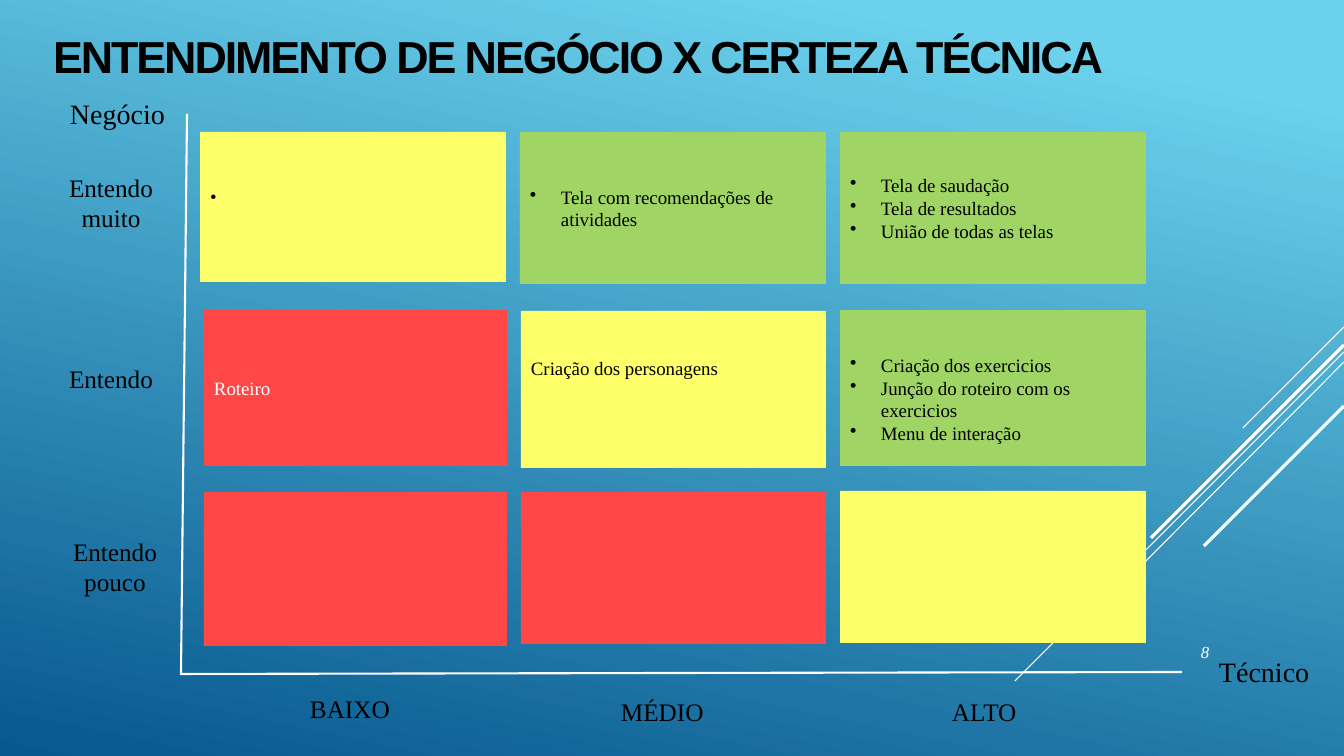
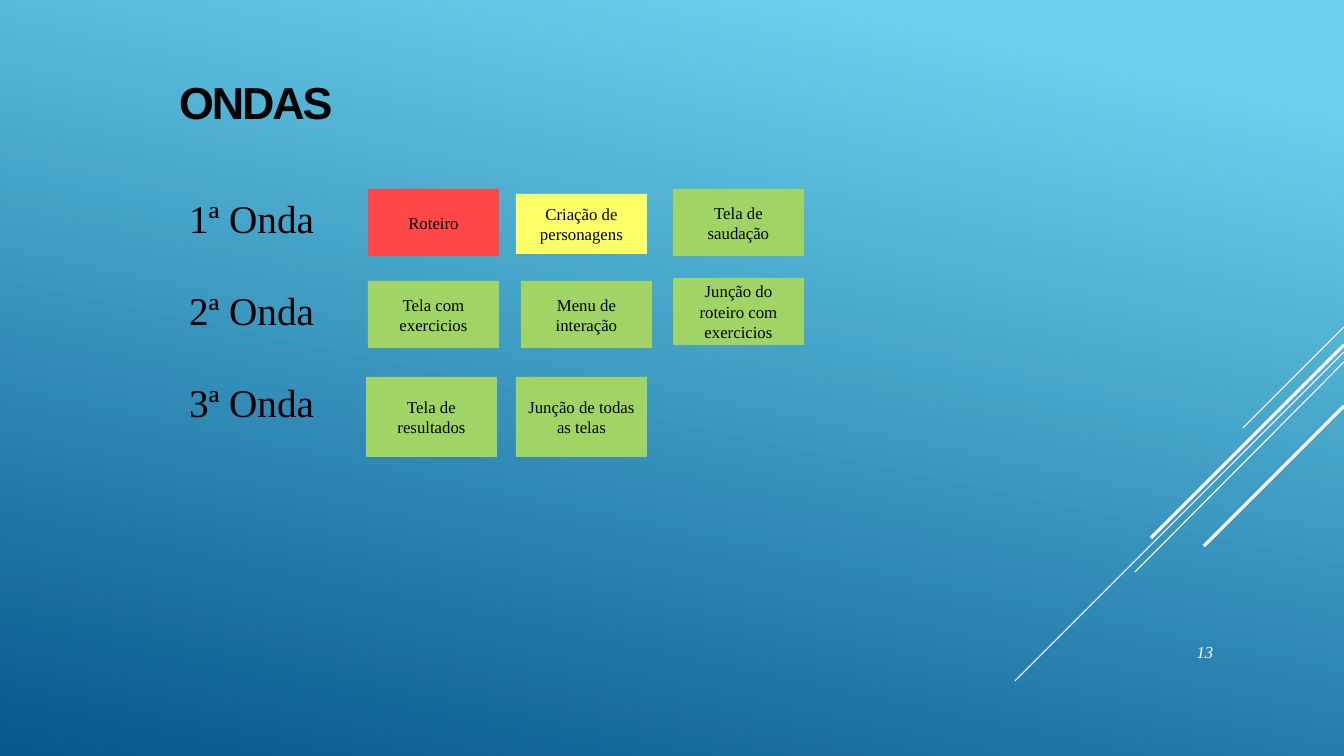
from dataclasses import dataclass
from typing import Any

import lxml.etree
import pptx
import pptx.dml.color
import pptx.enum.shapes
import pptx.enum.text
import pptx.oxml.ns
import pptx.util

RGBColor = pptx.dml.color.RGBColor
ALIGN = pptx.enum.text.PP_ALIGN
ANCHOR = pptx.enum.text.MSO_ANCHOR

# Shared colours, fonts and scale
BLACK = RGBColor(0x00, 0x00, 0x00)
WHITE = RGBColor(0xFF, 0xFF, 0xFF)
YELLOW = RGBColor(0xFF, 0xFF, 0x69)
RED = RGBColor(0xFF, 0x47, 0x47)
GREEN = RGBColor(0xA0, 0xD5, 0x65)
SKY = RGBColor(0x6B, 0xD1, 0xEC)
DEEP_BLUE = RGBColor(0x06, 0x58, 0x8E)
SERIF = "Times New Roman"
SANS = "Arial"
PIXELS_PER_INCH = 100.8
BULLET_INDENT = 31
LINE_HEIGHT = 22  # one line of cell text


def px(pixels: float) -> int:
    return pptx.util.Inches(pixels / PIXELS_PER_INCH)


@dataclass(frozen=True)
class Box:
    left: int
    top: int
    width: int
    height: int

    def emu(self) -> tuple[int, ...]:
        return tuple(px(side) for side in (self.left, self.top, self.width, self.height))


@dataclass(frozen=True)
class Line:
    start: tuple[int, int]
    end: tuple[int, int]
    weight: float


@dataclass(frozen=True)
class Look:
    size: float
    font: str = SERIF
    color: RGBColor = BLACK
    bold: bool = False
    italic: bool = False
    tracking: int = 0
    align: Any = ALIGN.LEFT
    spacing: float = 1.0
    gap: float = 0
    bullet: str = ""


@dataclass(frozen=True)
class Padding:
    side: int = 10
    top: int = 5
    bottom: int = 5
    anchor: Any = ANCHOR.TOP


@dataclass(frozen=True)
class Label:
    box: Box
    text: str
    look: Look


@dataclass(frozen=True)
class Card:
    box: Box
    fill: RGBColor
    lines: tuple[str, ...] = ()
    look: Look = Look(13.5)
    padding: Padding = Padding(anchor=ANCHOR.MIDDLE)


TITLE = Look(32, SANS, bold=True, tracking=-150, spacing=0.9)
PAGE_NUMBER = Look(12, color=WHITE, italic=True, align=ALIGN.CENTER)
AXIS_NAME = Look(20)
LEVEL = Look(18)
CENTERED_LEVEL = Look(18, align=ALIGN.CENTER)
BULLETED = Look(13.5, bullet="•")
CHIP = Look(12, align=ALIGN.CENTER)
WAVE = Look(28, gap=32.2)
FLUSH = Padding(0, 0, 0, ANCHOR.MIDDLE)

DIAGONALS = [
    Line((1344, 327), (1243, 428), 0.75),
    Line((1344, 352), (1015, 681), 0.75),
    Line((1344, 362), (1135, 572), 0.75),
    Line((1344, 345), (1151, 538), 2.25),
    Line((1344, 406), (1204, 546), 2.25),
]
AXES = [
    Line((1182, 672), (181, 674), 1.5),
    Line((187, 114), (181, 675), 1.5),
]
MATRIX_LABELS = [
    Label(Box(49, 92, 137, 43), "Negócio", Look(20, align=ALIGN.CENTER)),
    Label(Box(1209, 650, 134, 43), "Técnico", AXIS_NAME),
    Label(Box(58, 167, 106, 71), "Entendo muito", CENTERED_LEVEL),
    Label(Box(59, 358, 118, 40), "Entendo", LEVEL),
    Label(Box(62, 531, 106, 71), "Entendo pouco", CENTERED_LEVEL),
    Label(Box(300, 688, 110, 40), "BAIXO", LEVEL),
    Label(Box(611, 691, 122, 40), "MÉDIO", LEVEL),
    Label(Box(942, 691, 101, 40), "ALTO", LEVEL),
]
MATRIX_CELLS = [
    Card(Box(200, 132, 306, 150), YELLOW, ("•",),
         padding=Padding(bottom=5 + LINE_HEIGHT, anchor=ANCHOR.MIDDLE)),
    Card(Box(520, 132, 306, 152), GREEN,
         ("Tela com recomendações de atividades",), BULLETED),
    Card(Box(840, 132, 306, 152), GREEN,
         ("Tela de saudação", "Tela de resultados", "União de todas as telas"), BULLETED),
    Card(Box(204, 310, 303, 156), RED, ("Roteiro",), Look(13.5, color=WHITE)),
    Card(Box(521, 311, 305, 157), YELLOW, ("Criação dos personagens",),
         padding=Padding(bottom=5 + 2 * LINE_HEIGHT, anchor=ANCHOR.MIDDLE)),
    Card(Box(840, 310, 306, 156), GREEN,
         ("Criação dos exercicios", "Junção do roteiro com os exercicios",
          "Menu de interação"), BULLETED,
         Padding(top=5 + LINE_HEIGHT, anchor=ANCHOR.MIDDLE)),
    Card(Box(204, 492, 303, 154), RED),
    Card(Box(521, 492, 305, 152), RED),
    Card(Box(840, 491, 306, 152), YELLOW),
]
WAVE_NAMES = ("1ª Onda", "2ª Onda", "3ª Onda")
CHIP_WIDTH = 131
WAVE_CHIPS = [
    Card(Box(left, top, CHIP_WIDTH, height), fill, (text,), CHIP)
    for left, top, height, fill, text in [
        (368, 189, 67, RED, "Roteiro"),
        (516, 194, 60, YELLOW, "Criação de personagens"),
        (673, 189, 67, GREEN, "Tela de saudação"),
        (368, 281, 67, GREEN, "Tela com exercicios"),
        (521, 281, 67, GREEN, "Menu de interação"),
        (673, 278, 67, GREEN, "Junção do roteiro com exercicios"),
        (366, 377, 80, GREEN, "Tela de resultados"),
        (516, 377, 80, GREEN, "Junção de todas as telas"),
    ]
]


def apply_format(target: Any, values: dict[str, Any]) -> None:
    for name, value in values.items():
        setattr(target, name, value)


def set_bullet(para: Any, bullet: str) -> None:
    properties = para._p.get_or_add_pPr()
    indent = px(BULLET_INDENT) if bullet else 0
    properties.set("marL", str(indent))
    properties.set("indent", str(-indent))
    tag = "a:buChar" if bullet else "a:buNone"
    mark = lxml.etree.SubElement(properties, pptx.oxml.ns.qn(tag))
    if bullet:
        mark.set("char", bullet)


def write_text(shape: Any, lines: tuple[str, ...], look: Look, padding: Padding) -> None:
    frame = shape.text_frame
    apply_format(frame, {
        "word_wrap": True, "auto_size": pptx.enum.text.MSO_AUTO_SIZE.NONE,
        "vertical_anchor": padding.anchor,
        "margin_left": px(padding.side), "margin_right": px(padding.side),
        "margin_top": px(padding.top), "margin_bottom": px(padding.bottom),
    })
    for index, line in enumerate(lines):
        para = frame.add_paragraph() if index else frame.paragraphs[0]
        apply_format(para, {
            "alignment": look.align, "line_spacing": look.spacing,
            "space_before": pptx.util.Pt(look.gap if index else 0),
            "space_after": pptx.util.Pt(0),
        })
        set_bullet(para, look.bullet)
        span = para.add_run()
        span.text = line
        apply_format(span.font, {
            "name": look.font, "size": pptx.util.Pt(look.size),
            "bold": look.bold, "italic": look.italic,
        })
        span.font.color.rgb = look.color
        if look.tracking:
            span._r.get_or_add_rPr().set("spc", str(look.tracking))


def place(shape: Any, box: Box) -> None:
    apply_format(shape, dict(zip(("left", "top", "width", "height"), box.emu())))


def draw_label(page: Any, label: Label, padding: Padding = Padding()) -> None:
    box = page.shapes.add_textbox(*label.box.emu())
    write_text(box, (label.text,), label.look, padding)


def draw_card(page: Any, card: Card) -> None:
    shape = page.shapes.add_shape(pptx.enum.shapes.MSO_SHAPE.RECTANGLE, *card.box.emu())
    shape.shadow.inherit = False
    shape.fill.solid()
    shape.fill.fore_color.rgb = card.fill
    shape.line.fill.background()
    write_text(shape, card.lines, card.look, card.padding)


def draw_line(page: Any, line: Line) -> Any:
    connector = page.shapes.add_connector(
        pptx.enum.shapes.MSO_CONNECTOR.STRAIGHT,
        *(px(value) for value in line.start + line.end))
    connector.line.color.rgb = WHITE
    connector.line.width = pptx.util.Pt(line.weight)
    lxml.etree.SubElement(connector.element.spPr, pptx.oxml.ns.qn("a:effectLst"))
    return connector


def add_page(deck: Any, layout: int, title: str, title_box: Box,
             padding: Padding, number: str) -> Any:
    page = deck.slides.add_slide(deck.slide_layouts[layout])
    place(page.shapes.title, title_box)
    write_text(page.shapes.title, (title,), TITLE, padding)
    draw_label(page, Label(Box(1142, 615, 126, 74), number, PAGE_NUMBER), FLUSH)
    return page


def style_master(deck: Any, page: Any) -> None:
    """Give the master its gradient and the diagonals, drawn first on a page."""
    fill = deck.slide_master.background.fill
    fill.gradient()
    fill.gradient_angle = 360 - 102
    for stop, color, position in zip(fill.gradient_stops, (SKY, DEEP_BLUE), (0.1, 1.0)):
        stop.color.rgb = color
        stop.position = position
    for index, diagonal in enumerate(DIAGONALS):
        element = draw_line(page, diagonal).element
        element.xpath(".//p:cNvPr")[0].set("id", str(101 + index))
        deck.slide_master.shapes.element.append(element)


deck = pptx.Presentation()
deck.slide_width, deck.slide_height = px(1344), px(756)

# Matrix of business understanding and technical certainty
matrix = add_page(deck, 5, "ENTENDIMENTO DE NEGÓCIO X CERTEZA TÉCNICA",
                  Box(43, 30, 1123, 47), Padding(), "8")
style_master(deck, matrix)
for cell in MATRIX_CELLS:
    draw_card(matrix, cell)
for label in MATRIX_LABELS:
    draw_label(matrix, label)
for axis in AXES:
    draw_line(matrix, axis)

# Delivery waves
waves = add_page(deck, 1, "ONDAS", Box(179, 81, 1013, 47), FLUSH, "13")
wave_list = waves.placeholders[1]
place(wave_list, Box(179, 189, 146, 292))
write_text(wave_list, WAVE_NAMES, WAVE, Padding())
for chip in WAVE_CHIPS:
    draw_card(waves, chip)

deck.save("out.pptx")
